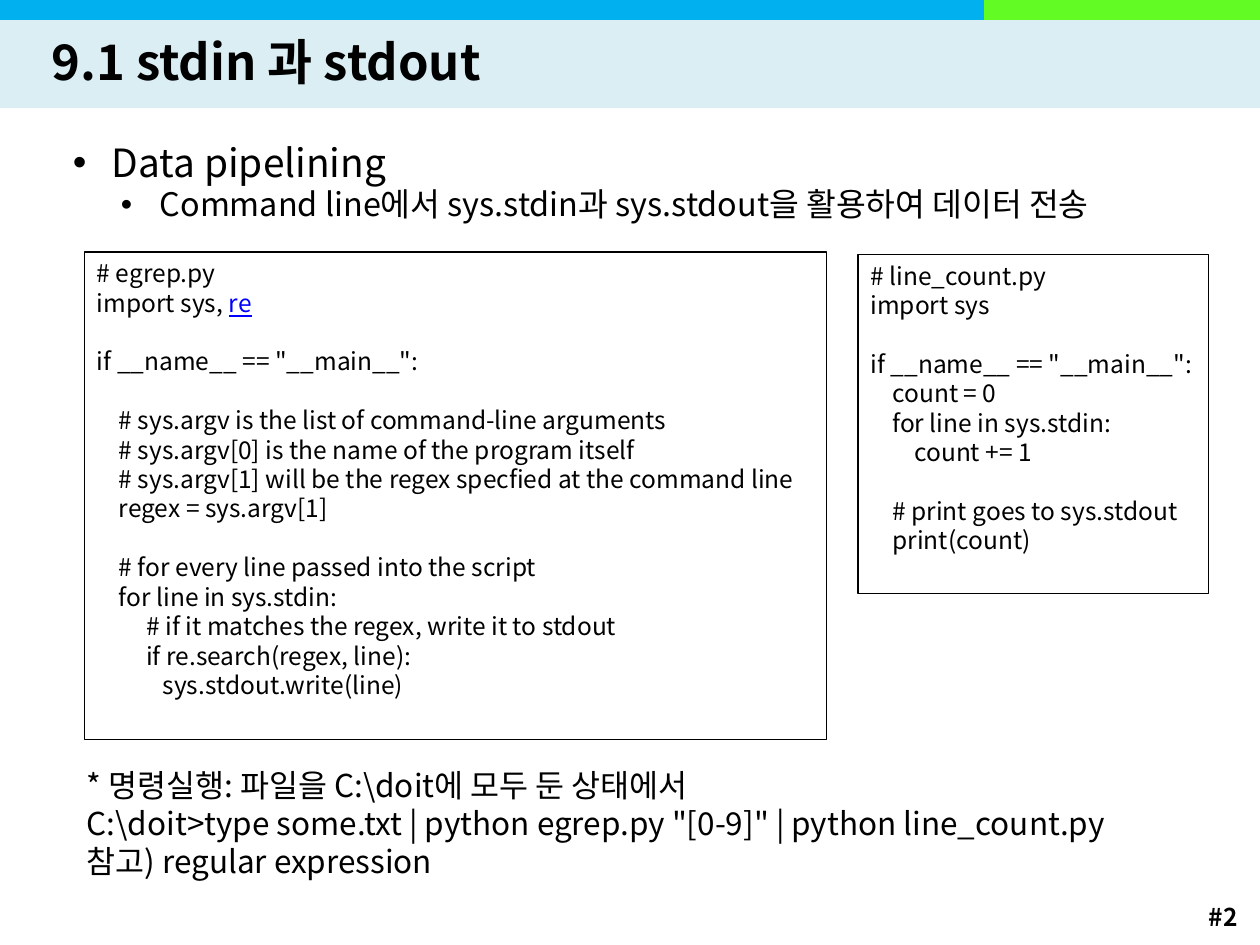
from lxml import etree
from pptx import Presentation
from pptx import util as u
from pptx.dml.color import RGBColor
from pptx.enum import shapes, text
from pptx.oxml.ns import qn

BLACK = RGBColor(0x00, 0x00, 0x00)
WHITE = RGBColor(0xFF, 0xFF, 0xFF)
SKY = RGBColor(0x01, 0xB0, 0xEF)
LIME = RGBColor(0x62, 0xFC, 0x24)
PALE = RGBColor(0xDB, 0xEE, 0xF4)
LINK = RGBColor(0x00, 0x00, 0xFF)
FONT = "Noto Sans CJK KR"
LEADING = 1.2  # line pitch as a share of the text size

EGREP_START = "# egrep.py\nimport sys, "
EGREP_REST = '''

if __name__ == "__main__":

    # sys.argv is the list of command-line arguments
    # sys.argv[0] is the name of the program itself
    # sys.argv[1] will be the regex specfied at the command line
    regex = sys.argv[1]

    # for every line passed into the script
    for line in sys.stdin:
         # if it matches the regex, write it to stdout
         if re.search(regex, line):
            sys.stdout.write(line)
'''
LINE_COUNT = '''# line_count.py
import sys

if __name__ == "__main__":
    count = 0
    for line in sys.stdin:
        count += 1

    # print goes to sys.stdout
    print(count)
'''

deck = Presentation()
deck.slide_width, deck.slide_height = u.Inches(10), u.Inches(7.5)
page = deck.slides.add_slide(deck.slide_layouts[6])


def add_box(left, top, width, height, fill=None, line=None):
    """Add a rectangle if it has a fill, otherwise a text box; sizes in inches."""
    place = [u.Inches(n) for n in (left, top, width, height)]
    if fill is None:
        box = page.shapes.add_textbox(*place)
    else:
        box = page.shapes.add_shape(shapes.MSO_SHAPE.RECTANGLE, *place)
        box.shadow.inherit = False
        box.fill.solid()
        box.fill.fore_color.rgb = fill
        if line is None:
            box.line.fill.background()
        else:
            box.line.color.rgb = line
            box.line.width = u.Pt(0.75)
    box.text_frame.word_wrap = True
    box.text_frame.vertical_anchor = text.MSO_ANCHOR.TOP
    return box


def write(para, spans, size, color=BLACK, **formats):
    """Add (words, extra formats) spans; a newline becomes a line break."""
    for words, extra in spans:
        for number, line in enumerate(words.split("\n")):
            if number:
                para.add_line_break()
            if not line:
                continue
            span = para.add_run()
            span.text = line
            values = {"name": FONT, "size": u.Pt(size), **formats, **extra}
            span.font.color.rgb = values.pop("color", color)
            for name, value in values.items():
                setattr(span.font, name, value)
            east = etree.SubElement(span.font._element, qn("a:ea"))
            east.set("typeface", FONT)


# Header bands
SPLIT, STRIPE = 7.81, 0.16
add_box(0, 0, SPLIT, STRIPE, SKY)
add_box(SPLIT, 0, 10 - SPLIT, STRIPE, LIME)
add_box(0, STRIPE, 10, 0.7, PALE)

title = add_box(0.31, 0.27, 9.38, 0.43).text_frame
title.vertical_anchor = text.MSO_ANCHOR.MIDDLE
write(title.paragraphs[0], [("9.1 stdin 과 stdout", {})], 28, bold=True)

# Bullets
body = add_box(0.48, 1.13, 9.05, 0.73).text_frame
bullets = [
    ("Data pipelining", 22.2, 0.31),
    ("Command line에서 sys.stdin과 sys.stdout을 활용하여 데이터 전송", 18.5, 0.69),
]
for level, (words, size, margin) in enumerate(bullets):
    para = body.add_paragraph() if level else body.paragraphs[0]
    para.level = level
    para.line_spacing = u.Pt(round(size * LEADING * 0.8, 1))
    para.space_before = u.Pt(round(size * 0.2, 1))
    props = para._p.get_or_add_pPr()
    props.set("marL", str(u.Inches(margin)))
    props.set("indent", str(-u.Inches(0.31)))
    etree.SubElement(props, qn("a:buFont")).set("typeface", "Arial")
    etree.SubElement(props, qn("a:buChar")).set("char", "•")
    write(para, [(words, {})], size)

# Code listings
link = {"color": LINK, "underline": True}
listings = [
    ((0.67, 2, 5.89, 3.87), [(EGREP_START, {}), ("re", link), (EGREP_REST, {})]),
    ((6.81, 2.02, 2.78, 2.69), [(LINE_COUNT, {})]),
]
for place, spans in listings:
    para = add_box(*place, WHITE, BLACK).text_frame.paragraphs[0]
    para.alignment = text.PP_ALIGN.LEFT
    para.line_spacing = u.Pt(14 * LEADING)
    write(para, spans, 14)

# How to run the listings
usage = add_box(0.59, 6.03, 8.37, 1.01).text_frame
commands = [
    "* 명령실행: 파일을 C:\\doit에 모두 둔 상태에서",
    'C:\\doit>type some.txt | python egrep.py "[0-9]" | python line_count.py',
    "참고) regular expression",
]
for number, words in enumerate(commands):
    para = usage.add_paragraph() if number else usage.paragraphs[0]
    para.line_spacing = u.Pt(18 * LEADING)
    write(para, [(words, {})], 18)

footer = add_box(9.3, 7.11, 0.62, 0.31).text_frame
footer.paragraphs[0].alignment = text.PP_ALIGN.RIGHT
footer.paragraphs[0].line_spacing = u.Pt(14 * LEADING)
write(footer.paragraphs[0], [("#2", {})], 14, bold=True)

deck.save("out.pptx")
